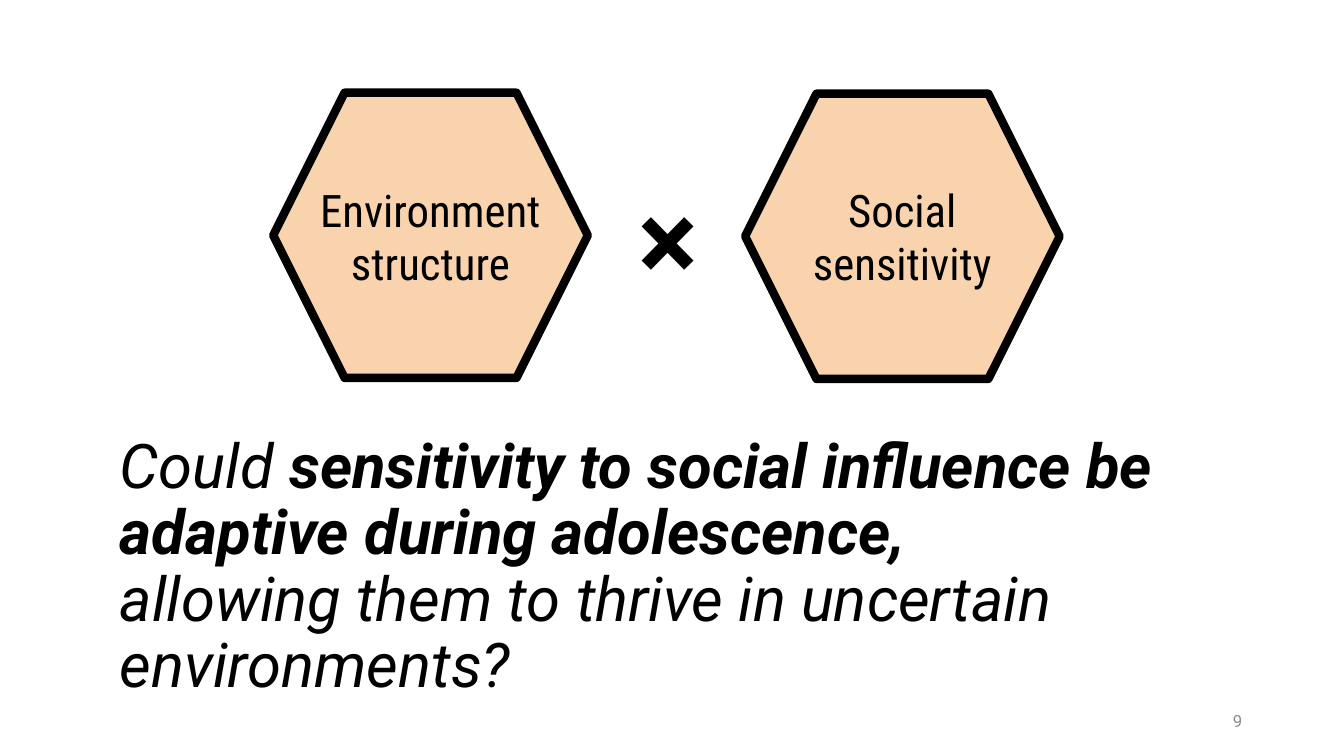
from pptx import Presentation
from pptx.dml.color import RGBColor
from pptx.enum.shapes import MSO_SHAPE
from pptx.enum.text import MSO_ANCHOR, PP_ALIGN
from pptx.util import Inches, Pt

HEXAGON = MSO_SHAPE.HEXAGON
TOP, MIDDLE = MSO_ANCHOR.TOP, MSO_ANCHOR.MIDDLE
LEFT, CENTER, RIGHT = PP_ALIGN.LEFT, PP_ALIGN.CENTER, PP_ALIGN.RIGHT
BLACK, PEACH, GRAY = "000000", "F8D3AE", "8C8C8C"


def rgb(color):
    return RGBColor.from_string(color)


def add_text(box, text, size, font="Roboto", color=BLACK, align=LEFT, anchor=TOP):
    """Add a one-paragraph text box, with a line break at each newline."""
    tf = slide.shapes.add_textbox(*map(Inches, box)).text_frame
    tf.word_wrap = True
    tf.vertical_anchor = anchor
    p = tf.paragraphs[0]
    p.text = text
    p.alignment = align
    for r in p.runs:
        r.font.name = font
        r.font.size = Pt(size)
        r.font.color.rgb = rgb(color)
    return p


prs = Presentation()
prs.slide_width, prs.slide_height = Inches(13.33), Inches(7.5)
slide = prs.slides.add_slide(prs.slide_layouts[6])

add_text((9.42, 6.95, 3, 0.4), "9", 12, color=GRAY, align=RIGHT, anchor=MIDDLE)

# Two interacting factors
factors = [(2.71, 0.92, "Environment\nstructure"), (7.39, 0.93, "Social\nsensitivity")]
for left, top, label in factors:
    sp = slide.shapes.add_shape(HEXAGON, Inches(left), Inches(top), Inches(3.12), Inches(2.83))
    sp.shadow.inherit = False
    sp.fill.solid()
    sp.fill.fore_color.rgb = rgb(PEACH)
    sp.line.color.rgb = rgb(BLACK)
    sp.line.width = Pt(6)
    add_text((left + 0.3, 1.76, 2.52, 1.17), label, 32, "Roboto Condensed", align=CENTER)

# Research question
question = add_text((1.09, 4.54, 11.85, 2.19), "Could ", 44, anchor=MIDDLE)
question.line_spacing = 0.9
emphasis = question.add_run()
emphasis.text = "sensitivity to social influence be adaptive during adolescence,"
question.add_line_break()
ending = question.add_run()
ending.text = "allowing them to thrive in uncertain environments?"
for r in question.runs:
    r.font.name = "Roboto"
    r.font.size = Pt(44)
    r.font.color.rgb = rgb(BLACK)
    r.font.italic = True
emphasis.font.bold = True

times = add_text((6.23, 1.63, 0.79, 1.45), "×", 80)
times.runs[0].font.bold = True

prs.save("out.pptx")
